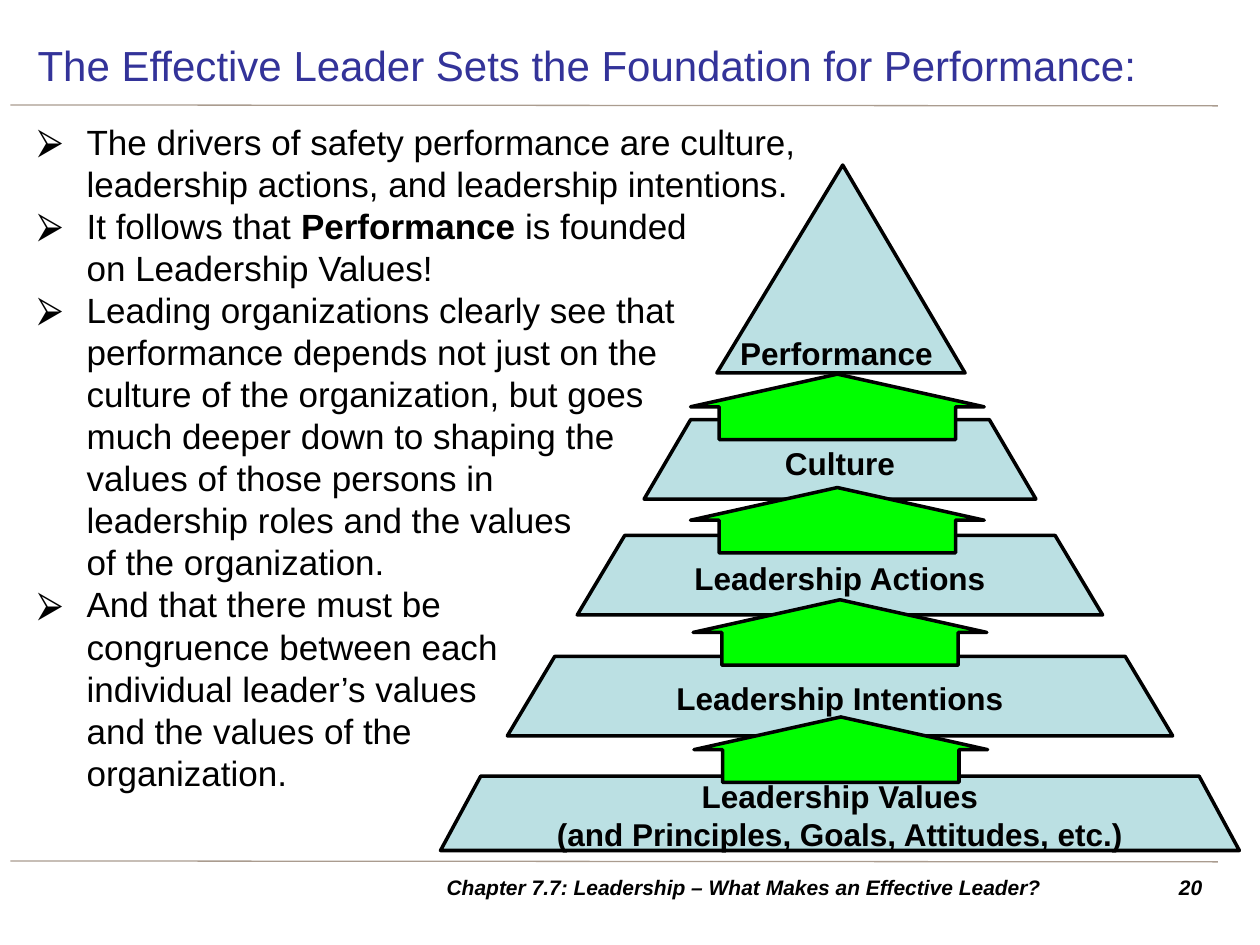
from lxml import etree
from pptx import Presentation
from pptx.dml.color import RGBColor
from pptx.enum.shapes import MSO_CONNECTOR, MSO_SHAPE
from pptx.enum.text import MSO_ANCHOR, PP_ALIGN
from pptx.oxml.ns import qn
from pptx.util import Pt

TOP, MIDDLE, BOTTOM = MSO_ANCHOR.TOP, MSO_ANCHOR.MIDDLE, MSO_ANCHOR.BOTTOM
LEFT, CENTER, RIGHT = PP_ALIGN.LEFT, PP_ALIGN.CENTER, PP_ALIGN.RIGHT
FONT = "Arial"
COLORS = {"title": "333399", "text": "000000", "rule": "AA9C8F",
          "level": "BBE0E3", "arrow": "00FF00"}

TITLE = "The Effective Leader Sets the Foundation for Performance:"
FOOTER = "Chapter 7.7: Leadership – What Makes an Effective Leader?"
PAGE_NUMBER = "20"
# Each bullet is a list of (text, bold) runs; a newline is a line break.
BULLETS = [
    [("The drivers of safety performance are culture,\n"
      "leadership actions, and leadership intentions.", False)],
    [("It follows that ", False), ("Performance", True),
     (" is founded\non Leadership Values!", False)],
    [("Leading organizations clearly see that\n"
      "performance depends not just on the\n"
      "culture of the organization, but goes\n"
      "much deeper down to shaping the\n"
      "values of those persons in\n"
      "leadership roles and the values\n"
      "of the organization.", False)],
    [("And that there must be\ncongruence between each\n"
      "individual leader’s values\nand the values of the\norganization.", False)],
]
PEAK = "Performance"
# label, top, width, height, slant
LEVELS = [
    ("Culture", 239.8, 223.9, 45.4, 0.586),
    ("Leadership Actions", 306, 300.2, 45.4, 0.597),
    ("Leadership Intentions", 375.1, 380.2, 45.4, 0.597),
    ("Leadership Values\n(and Principles, Goals, Attitudes, etc.)",
     443.5, 456.5, 42.5, 0.541),
]
PYRAMID_CENTER = 480
ARROWS = [(478.5, 213.8), (478.5, 278.6), (480, 342.7), (480.5, 409.7)]  # center, top
ARROW_WIDTH, ARROW_HEIGHT = 167.8, 37.4
RULE_TOPS = (60, 492)

presentation = Presentation()
presentation.slide_width, presentation.slide_height = Pt(720), Pt(540)
slide = presentation.slides.add_slide(presentation.slide_layouts[6])


def color(name):
    return RGBColor.from_string(COLORS[name])


def set_frame(frame, anchor, inset_x=0, inset_y=0):
    frame.word_wrap = True
    frame.vertical_anchor = anchor
    frame.margin_left = frame.margin_right = Pt(inset_x)
    frame.margin_top = frame.margin_bottom = Pt(inset_y)


def add_runs(paragraph, text, size, bold=False, italic=False, color_name="text"):
    """Add one run per line of the text, with line breaks between them."""
    for index, line in enumerate(text.split("\n")):
        if index:
            paragraph.add_line_break()
        run = paragraph.add_run()
        run.text = line
        font = run.font
        font.name, font.size = FONT, Pt(size)
        font.bold, font.italic = bold, italic
        font.color.rgb = color(color_name)


def add_label(box, text, size, align, anchor, inset=(7.2, 3.6), **style):
    shape = slide.shapes.add_textbox(*map(Pt, box))
    set_frame(shape.text_frame, anchor, *inset)
    paragraph = shape.text_frame.paragraphs[0]
    paragraph.alignment = align
    add_runs(paragraph, text, size, **style)


def add_block(kind, box, fill, adjustments):
    shape = slide.shapes.add_shape(kind, *map(Pt, box))
    shape.shadow.inherit = False
    shape.fill.solid()
    shape.fill.fore_color.rgb = color(fill)
    shape.line.color.rgb = color("text")
    shape.line.width = Pt(2)
    for index, value in enumerate(adjustments):
        shape.adjustments[index] = value
    return shape


def add_bullet(paragraph):
    properties = paragraph._p.get_or_add_pPr()
    properties.set("marL", str(Pt(28)))
    properties.set("indent", str(-Pt(28)))
    bullet_color = etree.SubElement(properties, qn("a:buClr"))
    etree.SubElement(bullet_color, qn("a:srgbClr"), val=COLORS["text"])
    etree.SubElement(properties, qn("a:buFont"), typeface=FONT)
    etree.SubElement(properties, qn("a:buChar"), char="⮚")


for top in RULE_TOPS:
    rule = slide.shapes.add_connector(
        MSO_CONNECTOR.STRAIGHT, Pt(6), Pt(top), Pt(696), Pt(top + 0.5))
    rule.line.color.rgb = color("rule")
    rule.line.width = Pt(0.75)
    etree.SubElement(rule._element.spPr, qn("a:effectLst"))

body = slide.shapes.add_textbox(Pt(14.4), Pt(65.5), Pt(680.4), Pt(419.8))
set_frame(body.text_frame, TOP, 7.2, 3.6)
for index, runs in enumerate(BULLETS):
    paragraph = (body.text_frame.add_paragraph() if index
                 else body.text_frame.paragraphs[0])
    add_bullet(paragraph)
    paragraph.line_spacing = Pt(24)
    for text, bold in runs:
        add_runs(paragraph, text, 20, bold)

add_label((14.4, 17.3, 680.4, 39.6), TITLE, 24, LEFT, MIDDLE, color_name="title")
add_label((652.3, 496, 41.8, 22.3), PAGE_NUMBER, 12, RIGHT, TOP, bold=True, italic=True)

add_block(MSO_SHAPE.ISOSCELES_TRIANGLE, (409.7, 94.3, 141.8, 118.8), "level", [0.507])
for label, top, width, height, slant in LEVELS:
    level = add_block(MSO_SHAPE.TRAPEZOID,
                      (PYRAMID_CENTER - width / 2, top, width, height), "level", [slant])
    set_frame(level.text_frame, MIDDLE)
    paragraph = level.text_frame.paragraphs[0]
    paragraph.alignment = CENTER
    add_runs(paragraph, label, 18, bold=True)
add_label((388, 170, 180, 42.5), PEAK, 18, CENTER, BOTTOM, inset=(0, 0), bold=True)

for center, top in ARROWS:
    add_block(MSO_SHAPE.UP_ARROW,
              (center - ARROW_WIDTH / 2, top, ARROW_WIDTH, ARROW_HEIGHT),
              "arrow", [0.805, 0.5])

add_label((212.4, 496, 425.5, 22.3), FOOTER, 12, CENTER, MIDDLE, bold=True, italic=True)

presentation.save("out.pptx")
